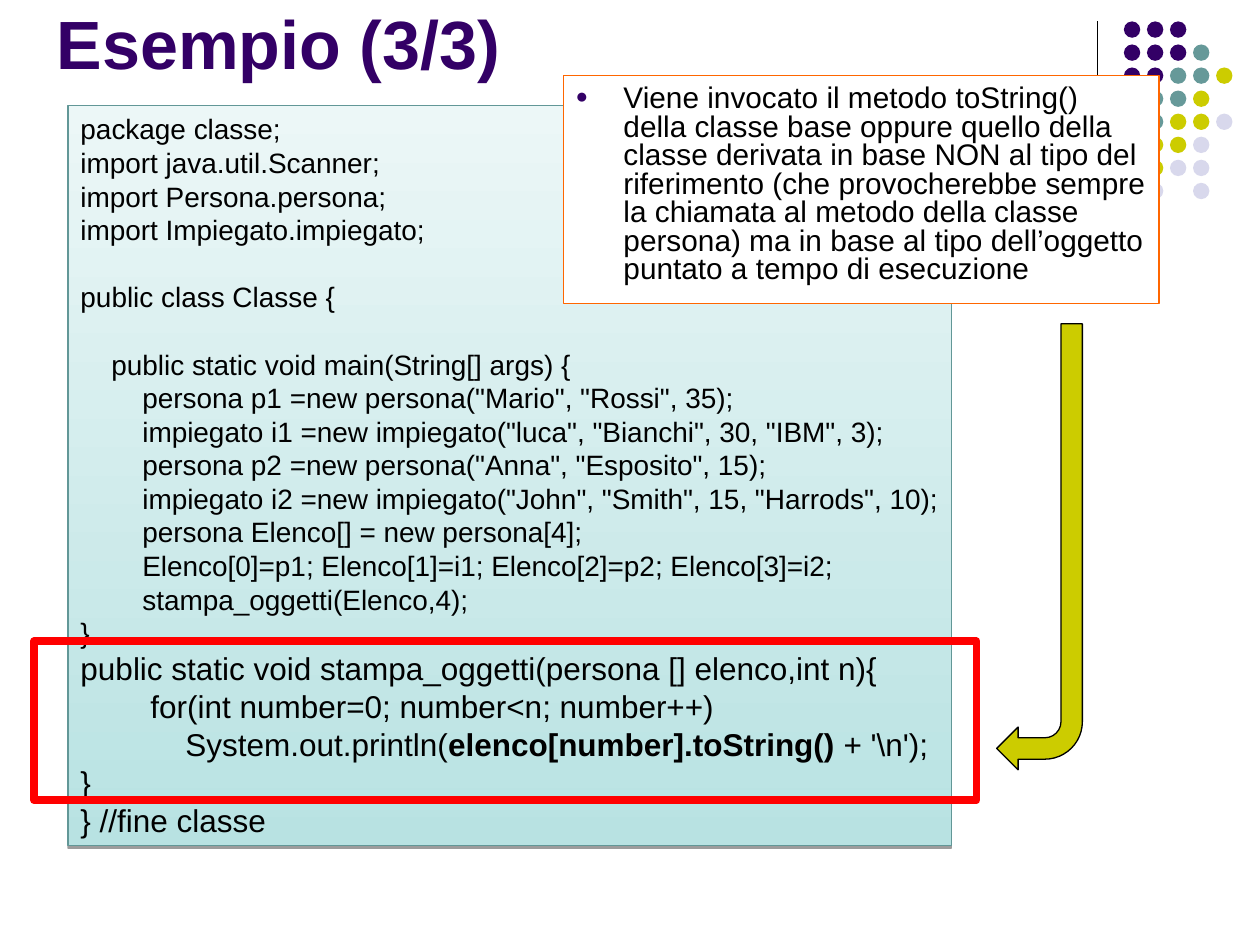
import pptx
import pptx.util
from lxml import etree
from pptx.dml.color import RGBColor
from pptx.enum.shapes import MSO_CONNECTOR, MSO_SHAPE
from pptx.enum.text import MSO_ANCHOR, PP_ALIGN
from pptx.oxml.ns import qn
from pptx.util import Inches, Pt

BLACK = RGBColor(0x00, 0x00, 0x00)
WHITE = RGBColor(0xFF, 0xFF, 0xFF)
PURPLE = RGBColor(0x33, 0x00, 0x66)
TEAL = RGBColor(0x66, 0x99, 0x99)
OLIVE = RGBColor(0xCC, 0xCC, 0x00)
LAVENDER = RGBColor(0xD8, 0xD8, 0xEC)
ORANGE = RGBColor(0xFF, 0x66, 0x00)
RED = RGBColor(0xFF, 0x00, 0x00)
CODE_BORDER = RGBColor(0x62, 0x97, 0x97)
CODE_BOTTOM = RGBColor(0xB8, 0xE2, 0xE2)
CODE_TOP = RGBColor(0xEC, 0xF7, 0xF7)
FONT = "Arial"

TITLE = "Esempio (3/3)"
NOTE = (
    "Viene invocato il metodo toString()\vdella classe base oppure quello della "
    "classe derivata in base NON al tipo del riferimento (che provocherebbe sempre "
    "la chiamata al metodo della classe persona) ma in base al tipo dell’oggetto "
    "puntato a tempo di esecuzione"
)
MAIN_CODE = r"""package classe;
import java.util.Scanner;
import Persona.persona;
import Impiegato.impiegato;

public class Classe {

    public static void main(String[] args) {
        persona p1 =new persona("Mario", "Rossi", 35);
        impiegato i1 =new impiegato("luca", "Bianchi", 30, "IBM", 3);
        persona p2 =new persona("Anna", "Esposito", 15);
        impiegato i2 =new impiegato("John", "Smith", 15, "Harrods", 10);
        persona Elenco[] = new persona[4];
        Elenco[0]=p1; Elenco[1]=i1; Elenco[2]=p2; Elenco[3]=i2;
        stampa_oggetti(Elenco,4);
}"""
PRINT_CODE = r"""public static void stampa_oggetti(persona [] elenco,int n){
        for(int number=0; number<n; number++)
            System.out.println(elenco[number].toString() + '\n');
}
} //fine classe"""
BOLD_CALL = "elenco[number].toString() "

DOT_COLOURS = {"P": PURPLE, "T": TEAL, "O": OLIVE, "L": LAVENDER}
DOT_ROWS = ["PPP  ", "PPPT ", "PPTTO", " TTO ", " TOOL", " OOL ", " OLL ", " L L "]
DOT_LEFT, DOT_TOP, DOT_PITCH, DOT_SIZE = 8.92, 0.17, 0.183, 0.13


def add_shape(page, kind, left, top, width, height, fill=None, line=None, weight=0.75):
    shape = page.shapes.add_shape(
        kind, Inches(left), Inches(top), Inches(width), Inches(height))
    shape.shadow.inherit = False
    if fill is None:
        shape.fill.background()
    else:
        shape.fill.solid()
        shape.fill.fore_color.rgb = fill
    if line is None:
        shape.line.fill.background()
    else:
        shape.line.color.rgb = line
        shape.line.width = Pt(weight)
    return shape


def style(font, size, colour=BLACK, bold=False):
    font.name, font.size, font.bold = FONT, Pt(size), bold
    font.color.rgb = colour


def add_title(page):
    title = page.shapes.title
    title.left, title.top = Inches(0.35), Inches(-0.71)
    title.width, title.height = Inches(8.25), Inches(1.42)
    frame = title.text_frame
    frame.text = TITLE
    frame.vertical_anchor = MSO_ANCHOR.BOTTOM
    frame.paragraphs[0].alignment = PP_ALIGN.LEFT
    style(frame.paragraphs[0].runs[0].font, 39, PURPLE, True)


def add_decoration(page):
    rule = page.shapes.add_connector(
        MSO_CONNECTOR.STRAIGHT, Inches(8.71), Inches(0.17), Inches(8.71), Inches(1.83))
    rule.line.color.rgb = BLACK
    rule.line.width = Pt(0.75)
    etree.SubElement(rule._element.spPr, qn("a:effectLst"))
    for row, pattern in enumerate(DOT_ROWS):
        for column, key in enumerate(pattern):
            if key in DOT_COLOURS:
                add_shape(page, MSO_SHAPE.OVAL, DOT_LEFT + column * DOT_PITCH,
                          DOT_TOP + row * DOT_PITCH, DOT_SIZE, DOT_SIZE,
                          DOT_COLOURS[key])


def add_drop_shadow(shape):
    effects = shape._element.spPr.find(qn("a:effectLst"))
    shadow = etree.SubElement(effects, qn("a:outerShdw"), blurRad="0",
                              dist=str(Pt(1.6)), dir="5400000", rotWithShape="0")
    colour = etree.SubElement(shadow, qn("a:srgbClr"), val=str(BLACK))
    etree.SubElement(colour, qn("a:alpha"), val="38000")


def add_code(page):
    box = add_shape(page, MSO_SHAPE.RECTANGLE, 0.54, 0.84, 7.01, 5.87, line=CODE_BORDER)
    box.fill.gradient()
    box.fill.gradient_angle = 90
    for stop, colour in zip(box.fill.gradient_stops, (CODE_BOTTOM, CODE_TOP)):
        stop.color.rgb = colour
    add_drop_shadow(box)
    frame = box.text_frame
    frame.word_wrap = False
    frame.vertical_anchor = MSO_ANCHOR.TOP
    lines = [(text, 16) for text in MAIN_CODE.split("\n")]
    lines += [(text, 18) for text in PRINT_CODE.split("\n")]
    for index, (text, size) in enumerate(lines):
        para = frame.paragraphs[0] if index == 0 else frame.add_paragraph()
        para.alignment = PP_ALIGN.LEFT
        para.font.size = Pt(size)
        for part in text.partition(BOLD_CALL):
            if part:
                span = para.add_run()
                span.text = part
                style(span.font, size, bold=part == BOLD_CALL)


def add_bullet(para, indent):
    properties = para._p.get_or_add_pPr()
    properties.set("marL", str(indent))
    properties.set("indent", str(-indent))
    colour = etree.SubElement(properties, qn("a:buClr"))
    etree.SubElement(colour, qn("a:srgbClr"), val=str(PURPLE))
    etree.SubElement(properties, qn("a:buSzPct"), val="70000")
    etree.SubElement(properties, qn("a:buFont"), typeface=FONT)
    etree.SubElement(properties, qn("a:buChar"), char="●")


def add_note(page):
    box = add_shape(page, MSO_SHAPE.RECTANGLE, 4.47, 0.6, 4.73, 1.81, WHITE, ORANGE)
    frame = box.text_frame
    frame.word_wrap = True
    frame.vertical_anchor = MSO_ANCHOR.TOP
    frame.margin_top = Inches(0.08)
    frame.text = NOTE
    para = frame.paragraphs[0]
    add_bullet(para, Inches(0.38))
    para.alignment = PP_ALIGN.LEFT
    para.line_spacing = 0.8
    for span in para.runs:
        style(span.font, 17)


def main():
    deck = pptx.Presentation()
    deck.slide_width, deck.slide_height = Inches(10), Inches(7.5)
    page = deck.slides.add_slide(deck.slide_layouts[5])
    add_decoration(page)
    add_title(page)
    add_code(page)
    add_note(page)
    arrow = add_shape(page, MSO_SHAPE.BENT_ARROW, 7.91, 2.57, 0.68, 3.54, OLIVE, BLACK)
    arrow.rotation = 180
    add_shape(page, MSO_SHAPE.RECTANGLE, 0.27, 5.09, 7.48, 1.26, line=RED, weight=4.5)
    deck.save("out.pptx")


if __name__ == "__main__":
    main()
